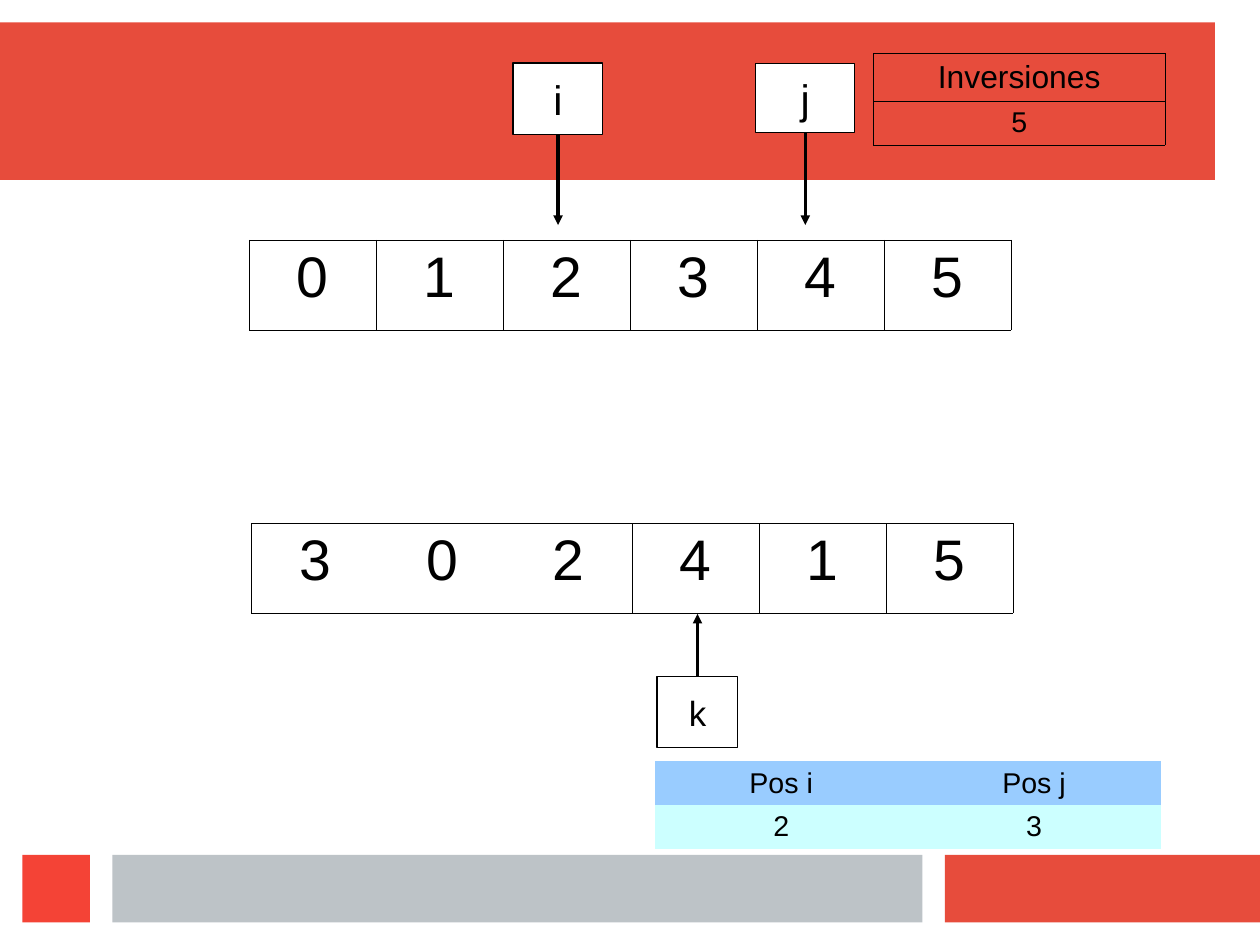
from lxml import etree
from pptx import Presentation
from pptx.dml.color import RGBColor
from pptx.enum.shapes import MSO_CONNECTOR, MSO_SHAPE
from pptx.enum.text import MSO_ANCHOR, PP_ALIGN
from pptx.oxml.ns import qn
from pptx.util import Pt

RECTANGLE = MSO_SHAPE.RECTANGLE
STRAIGHT = MSO_CONNECTOR.STRAIGHT
CENTER = PP_ALIGN.CENTER
MIDDLE = MSO_ANCHOR.MIDDLE
BOX_TOP, BOX_BOTTOM = 0, 2

COLORS = {
    "red": "E74C3C", "bright red": "F44336", "gray": "BDC3C7",
    "black": "000000", "white": "FFFFFF",
    "header blue": "99CCFF", "row blue": "CCFFFF",
}
FONT = "Arial"

# The slide is a grid of 28 columns by 21 rows of one centimetre each.
UNIT = 360000
COLUMNS, ROWS = 28, 21


def grid(*lengths):
    return [round(length * UNIT) for length in lengths]


def add_grid_table(left, top, column_width, row_heights, rows, sizes, fills, sides, line_width):
    """Add a table; sides(column) names the cell edges that carry a line."""
    column_count = len(rows[0])
    place = grid(left, top, column_width * column_count, sum(row_heights))
    table = slide.shapes.add_table(len(rows), column_count, *place).table
    table.first_row = table.horz_banding = False
    for column in table.columns:
        column.width = grid(column_width)[0]
    for r, texts in enumerate(rows):
        table.rows[r].height = grid(row_heights[r])[0]
        for c, text in enumerate(texts):
            cell = table.cell(r, c)
            cell.text = text
            para = cell.text_frame.paragraphs[0]
            para.alignment = CENTER
            font = para.runs[0].font
            font.name, font.size = FONT, Pt(sizes[r])
            font.color.rgb = RGBColor.from_string(COLORS["black"])
            properties = cell._tc.get_or_add_tcPr()
            for side in "LRTB":
                edge = etree.SubElement(properties, qn(f"a:ln{side}"), w=str(Pt(line_width)))
                if side in sides(c):
                    paint = etree.SubElement(edge, qn("a:solidFill"))
                    etree.SubElement(paint, qn("a:srgbClr"), val=COLORS["black"])
                else:
                    etree.SubElement(edge, qn("a:noFill"))
            if fills:
                cell.fill.solid()
                cell.fill.fore_color.rgb = RGBColor.from_string(COLORS[fills[r]])
            else:
                cell.fill.background()


deck = Presentation()
deck.slide_width, deck.slide_height = grid(COLUMNS, ROWS)
slide = deck.slides.add_slide(deck.slide_layouts[6])

# Coloured bands at the top and bottom
for color, *place in [
    ("red", 0, 0.5, 27, 3.5),
    ("red", 21, 19, 7, 1.5),
    ("gray", 2.5, 19, 18, 1.5),
    ("bright red", 0.5, 19, 1.5, 1.5),
]:
    band = slide.shapes.add_shape(RECTANGLE, *grid(*place))
    band.shadow.inherit = False
    band.fill.solid()
    band.fill.fore_color.rgb = RGBColor.from_string(COLORS[color])
    band.line.fill.background()

# Index row and value row; the first three values form one sorted block
add_grid_table(5.54, 5.33, 2.82, [2], ["012345"], [36], None, lambda column: "LRTB", 0.06)
block_sides = {0: "LTB", 1: "TB", 2: "RTB"}
add_grid_table(5.59, 11.63, 2.82, [2], ["302415"], [36], None,
               lambda column: block_sides.get(column, "LRTB"), 0.06)

# Positions and inversion count
add_grid_table(14.55, 16.92, 5.62, [0.97, 0.97], [["Pos i", "Pos j"], ["2", "3"]],
               [18, 18], ["header blue", "row blue"], lambda column: "", 0)
add_grid_table(19.41, 1.19, 6.48, [1.06, 0.97], [["Inversiones"], ["5"]],
               [20, 18], None, lambda column: "LRTB", 0.57)

# Pointer boxes, each with an arrow to its cell
for name, size, site, tip, left, top, width, height in [
    ("i", 26, BOX_BOTTOM, 5, 11.4, 1.4, 2, 1.6),
    ("j", 26, BOX_BOTTOM, 5, 16.79, 1.42, 2.21, 1.52),
    ("k", 22, BOX_TOP, 13.64, 14.6, 15.04, 1.8, 1.57),
]:
    box = slide.shapes.add_shape(RECTANGLE, *grid(left, top, width, height))
    box.shadow.inherit = False
    box.fill.solid()
    box.fill.fore_color.rgb = RGBColor.from_string(COLORS["white"])
    frame = box.text_frame
    frame.text = name
    frame.word_wrap = False
    frame.vertical_anchor = MIDDLE
    para = frame.paragraphs[0]
    para.alignment = CENTER
    font = para.runs[0].font
    font.name, font.size = FONT, Pt(size)
    font.color.rgb = RGBColor.from_string(COLORS["black"])

    center = left + width / 2
    arrow = slide.shapes.add_connector(STRAIGHT, *grid(center, top, center, tip))
    arrow.begin_connect(box, site)
    for outline in (box.line, arrow.line):
        outline.color.rgb = RGBColor.from_string(COLORS["black"])
        outline.width = Pt(0)
    etree.SubElement(arrow.line._get_or_add_ln(), qn("a:tailEnd"), type="triangle")
    etree.SubElement(arrow._element.spPr, qn("a:effectLst"))

deck.save("out.pptx")
